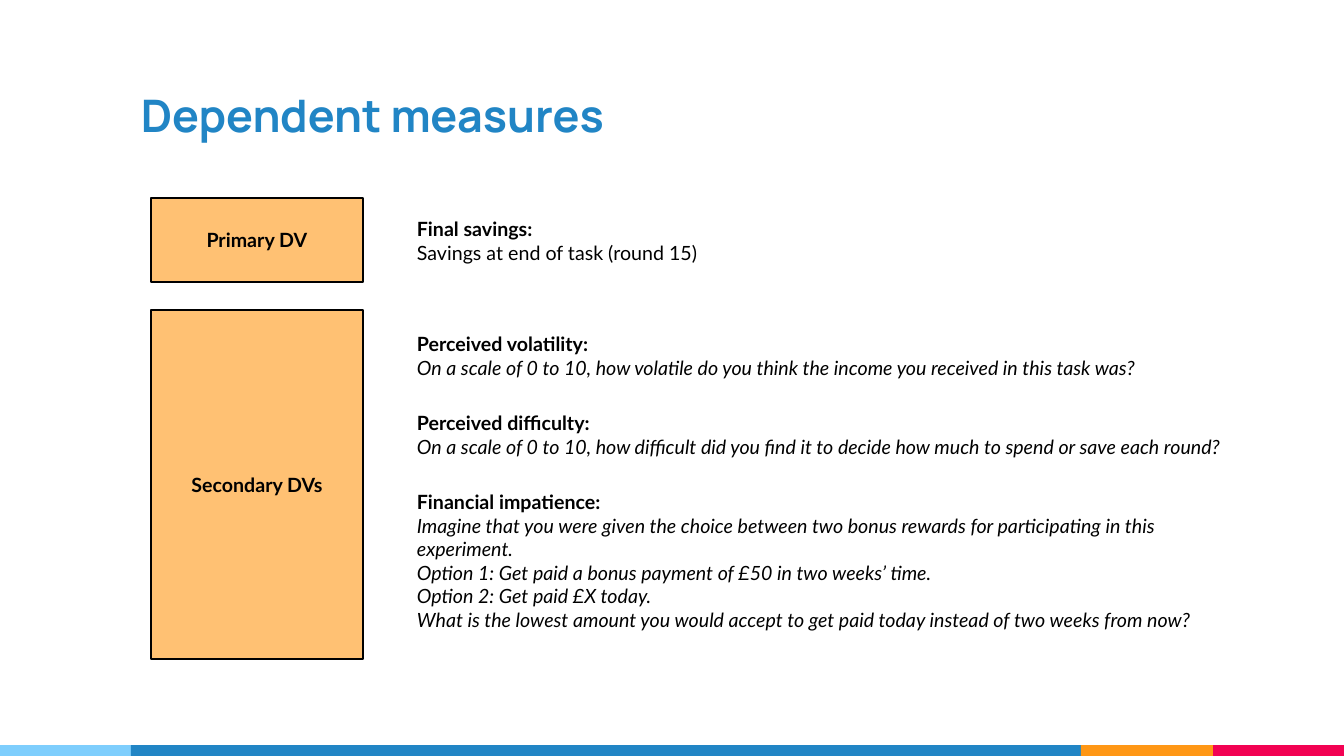
from copy import deepcopy
from pptx import Presentation
from pptx import util as u
from pptx.dml.color import RGBColor
from pptx.enum import shapes, text

PX = 914400 / 100.8  # EMU in one px


def rgb(code):
    return RGBColor.from_string(code)


def write(para, words, **style):
    run = para.add_run()
    run.text = words
    look = {"name": "Lato", "size": u.Pt(14), "bold": False, "italic": False} | style
    tint = look.pop("tint", "000000")
    for key, value in look.items():
        setattr(run.font, key, value)
    run.font.color.rgb = rgb(tint)
    return run


deck = Presentation()
deck.slide_width, deck.slide_height = (round(n * PX) for n in (1344, 756))
slide = deck.slides.add_slide(deck.slide_layouts[6])

# Colour band along the bottom
edges = [0, 131, 1081, 1213, 1344]
tints = ["7ECEFD", "2185C5", "FF9715", "F20253"]
for left, right, tint in zip(edges, edges[1:], tints):
    area = [round(n * PX) for n in (left, 745, right - left, 11)]
    band = slide.shapes.add_shape(shapes.MSO_SHAPE.RECTANGLE, *area)
    band.shadow.inherit = False
    band.fill.solid()
    band.fill.fore_color.rgb = rgb(tint)
    band.line.fill.background()

# Title
area = [round(n * PX) for n in (131, 52, 950, 126)]
frame = slide.shapes.add_textbox(*area).text_frame
frame.word_wrap = True
frame.vertical_anchor = text.MSO_ANCHOR.MIDDLE
for side in ("left", "right", "top", "bottom"):
    setattr(frame, "margin_" + side, u.Inches(0.1))
write(frame.paragraphs[0], "Dependent measures",
      name="Manrope", size=u.Pt(32), bold=True, tint="2185C5")

# Boxes naming the two groups
for label, top, high in [("Primary DV", 198, 84), ("Secondary DVs", 310, 349)]:
    area = [round(n * PX) for n in (151, top, 212, high)]
    box = slide.shapes.add_shape(shapes.MSO_SHAPE.RECTANGLE, *area)
    box.shadow.inherit = False
    box.fill.solid()
    box.fill.fore_color.rgb = rgb("FFC173")
    box.line.color.rgb = rgb("000000")
    box.line.width = u.Pt(2)
    box.text_frame.vertical_anchor = text.MSO_ANCHOR.MIDDLE
    para = box.text_frame.paragraphs[0]
    para.alignment = text.PP_ALIGN.CENTER
    write(para, label, bold=True)

# Measures: heading, top, width, height, wrap, italic, lines
items = [
    ("Final savings: ", 212, 304, 57, False, False,
     ["Savings at end of task (round 15)"]),
    ("Perceived volatility: ", 327, 836, 57, True, True,
     ["On a scale of 0 to 10, how volatile do you think the income you received in this task was?"]),
    ("Perceived difficulty: ", 406, 836, 57, True, True,
     ["On a scale of 0 to 10, how difficult did you find it to decide how much to spend or save each round?"]),
    ("Financial impatience: ", 485, 836, 152, True, True,
     ["Imagine that you were given the choice between two bonus rewards for participating in this experiment.",
      "Option 1: Get paid a bonus payment of £50 in two weeks’ time.",
      "Option 2: Get paid £X today.",
      "What is the lowest amount you would accept to get paid today instead of two weeks from now?"]),
]
for head, top, wide, high, wrap, slant, lines in items:
    area = [round(n * PX) for n in (407, top, wide, high)]
    frame = slide.shapes.add_textbox(*area).text_frame
    frame.word_wrap = wrap
    frame.auto_size = text.MSO_AUTO_SIZE.SHAPE_TO_FIT_TEXT
    para = frame.paragraphs[0]
    run = write(para, head, bold=True)
    para.add_line_break()
    # The break takes the heading's format, so its line keeps its height
    para._p[-1].append(deepcopy(run.font._element))
    write(para, lines[0], italic=slant)
    for line in lines[1:]:
        write(frame.add_paragraph(), line, italic=slant)

deck.save("out.pptx")
